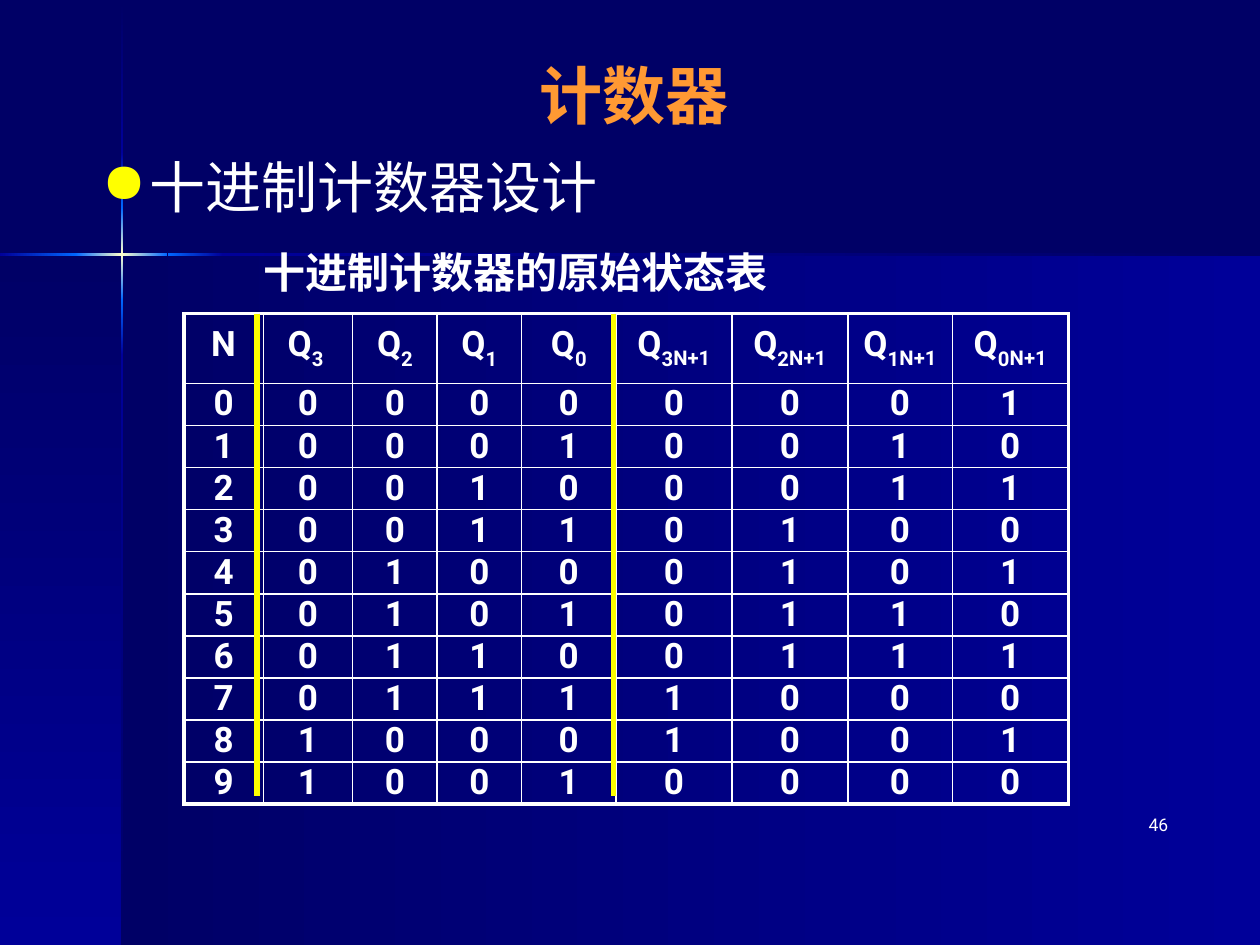
from lxml.etree import SubElement
from pptx import Presentation
from pptx.dml.color import RGBColor
from pptx.enum.shapes import MSO_CONNECTOR, MSO_SHAPE
from pptx.enum.text import MSO_ANCHOR, PP_ALIGN
from pptx.oxml.ns import qn
from pptx.util import Inches, Pt

NAVY = RGBColor(0x00, 0x00, 0x66)
ROYAL = RGBColor(0x00, 0x00, 0x99)
AZURE = RGBColor(0x00, 0x66, 0xFF)
CREAM = RGBColor(0xFF, 0xFF, 0xCC)
ORANGE = RGBColor(0xFF, 0x99, 0x33)
YELLOW = RGBColor(0xFF, 0xFF, 0x00)
WHITE = RGBColor(0xFF, 0xFF, 0xFF)

TITLE = {"size": Pt(36), "name": "Roboto", "bold": True, "color": ORANGE}
TOPIC = {"size": Pt(32), "name": "Roboto", "bold": False, "color": WHITE}
CAPTION = {"size": Pt(24), "name": "Cambria", "bold": True, "color": WHITE}
CELL = {"size": Pt(20), "name": "Roboto", "bold": True, "color": WHITE}
PAGE = {"size": Pt(10), "name": "Roboto", "bold": False, "color": WHITE}

ACROSS, DOWN = 0, 90
RAY_WIDTH = 0.02
VERTICAL_RAYS = [
    (0.01, 1.21, (NAVY, ROYAL)),
    (2.82, 7.5, (ROYAL, NAVY)),
    (2.38, 2.82, (AZURE, ROYAL)),
    (1.21, 1.65, (ROYAL, AZURE)),
    (1.65, 2.38, (AZURE, CREAM, AZURE)),
]
HORIZONTAL_RAYS = [
    (1.77, 10, (ROYAL, NAVY)),
    (0, 0.61, (ROYAL, AZURE)),
    (1.33, 1.77, (AZURE, ROYAL)),
    (0.6, 1.33, (AZURE, CREAM, AZURE)),
]

TABLE_TOP, TABLE_HEIGHT, HEADER_HEIGHT = 2.49, 3.83, 0.55
COLUMN_WIDTHS = [0.63, 0.71, 0.67, 0.67, 0.75, 0.92, 0.92, 0.83, 0.92]
STATE_COUNT = 10
SUBSCRIPT, NEXT_SUBSCRIPT = -30, -25
HEADER = (
    [[("N", 0)]]
    + [[("Q", 0), ("3 " if bit == 3 else str(bit), SUBSCRIPT)] for bit in (3, 2, 1, 0)]
    + [[("Q", 0), (str(bit), SUBSCRIPT), ("N+1", NEXT_SUBSCRIPT)] for bit in (3, 2, 1, 0)]
)


class SlideBuilder:
    def __init__(self, presentation):
        self.slide = presentation.slides.add_slide(presentation.slide_layouts[5])
        self.slide.background.fill.solid()
        self.slide.background.fill.fore_color.rgb = NAVY

    def style(self, font, values):
        for key, value in values.items():
            if key == "color":
                font.color.rgb = value
            else:
                setattr(font, key, value)

    def add_runs(self, paragraph, runs, values, alignment):
        paragraph.alignment = alignment
        for text, baseline in runs:
            run = paragraph.add_run()
            run.text = text
            self.style(run.font, values)
            if baseline:
                run._r.get_or_add_rPr().set("baseline", str(baseline * 1000))

    def gradient(self, left, top, width, height, colors, angle):
        shape = self.slide.shapes.add_shape(
            MSO_SHAPE.RECTANGLE, Inches(left), Inches(top), Inches(width), Inches(height)
        )
        shape.shadow.inherit = False
        shape.line.fill.background()
        shape.fill.gradient()
        fill = shape._element.spPr.find(qn("a:gradFill"))
        for child in list(fill):
            fill.remove(child)
        stops = SubElement(fill, qn("a:gsLst"))
        for index, color in enumerate(colors):
            position = 100000 * index // (len(colors) - 1)
            stop = SubElement(stops, qn("a:gs"), pos=str(position))
            SubElement(stop, qn("a:srgbClr"), val=str(color))
        SubElement(fill, qn("a:lin"), ang=str(angle * 60000), scaled="0")

    def title(self, left, top, width, height, text):
        shape = self.slide.shapes.title
        self.slide.shapes._spTree.append(shape._element)
        box = {"left": left, "top": top, "width": width, "height": height}
        for key, value in box.items():
            setattr(shape, key, Inches(value))
        shape.text_frame.vertical_anchor = MSO_ANCHOR.MIDDLE
        self.add_runs(shape.text_frame.paragraphs[0], [(text, 0)], TITLE, PP_ALIGN.CENTER)

    def text(self, left, top, width, height, text, values, alignment, bullet=False):
        shape = self.slide.shapes.add_textbox(
            Inches(left), Inches(top), Inches(width), Inches(height)
        )
        shape.text_frame.word_wrap = True
        paragraph = shape.text_frame.paragraphs[0]
        if bullet:
            properties = paragraph._p.get_or_add_pPr()
            properties.set("marL", str(Inches(0.38)))
            properties.set("indent", str(-Inches(0.38)))
            color = SubElement(properties, qn("a:buClr"))
            SubElement(color, qn("a:srgbClr"), val=str(YELLOW))
            SubElement(properties, qn("a:buChar"), char="●")
        self.add_runs(paragraph, [(text, 0)], values, alignment)

    def border(self, cell, side, width):
        properties = cell._tc.get_or_add_tcPr()
        line = SubElement(properties, qn(f"a:ln{side}"), w=str(Pt(width)))
        fill = SubElement(line, qn("a:solidFill"))
        SubElement(fill, qn("a:srgbClr"), val=str(WHITE))

    def table(self, left, top, rows):
        row_count, column_count = len(rows), len(COLUMN_WIDTHS)
        table = self.slide.shapes.add_table(
            row_count, column_count, Inches(left), Inches(top),
            Inches(sum(COLUMN_WIDTHS)), Inches(TABLE_HEIGHT),
        ).table
        table.first_row = table.horz_banding = False
        for column, width in zip(table.columns, COLUMN_WIDTHS):
            column.width = Inches(width)
        row_height = (TABLE_HEIGHT - HEADER_HEIGHT) / STATE_COUNT
        for row_index, row in enumerate(rows):
            is_header = row_index == 0
            table.rows[row_index].height = Inches(HEADER_HEIGHT if is_header else row_height)
            for column_index, runs in enumerate(row):
                cell = table.cell(row_index, column_index)
                cell.margin_left = cell.margin_right = 0
                cell.margin_top = cell.margin_bottom = Inches(0.08 if is_header else 0)
                outer_sides = {
                    "L": column_index == 0,
                    "R": column_index == column_count - 1,
                    "T": is_header,
                    "B": row_index == row_count - 1,
                }
                for side, is_outer in outer_sides.items():
                    self.border(cell, side, 2.25 if is_outer else 1)
                cell.fill.background()
                self.add_runs(cell.text_frame.paragraphs[0], runs, CELL, PP_ALIGN.CENTER)

    def divider(self, x, top, bottom):
        connector = self.slide.shapes.add_connector(
            MSO_CONNECTOR.STRAIGHT, Inches(x), Inches(top), Inches(x), Inches(bottom)
        )
        connector.line.color.rgb = YELLOW
        connector.line.width = Pt(3)
        SubElement(connector._element.spPr, qn("a:effectLst"))


def main():
    presentation = Presentation()
    presentation.slide_width, presentation.slide_height = Inches(10), Inches(7.5)
    builder = SlideBuilder(presentation)

    builder.gradient(0.97, 2.02, 9.03, 5.48, (NAVY, ROYAL), ACROSS)
    builder.gradient(0, 2.02, 0.97, 5.48, (NAVY, ROYAL), DOWN)
    for start, end, colors in VERTICAL_RAYS:
        builder.gradient(0.96, start, RAY_WIDTH, end - start, colors, DOWN)
    for start, end, colors in HORIZONTAL_RAYS:
        builder.gradient(start, 2.01, end - start, RAY_WIDTH, colors, ACROSS)

    builder.title(0.5, 0.33, 9.17, 0.83, "计数器 ")
    builder.text(0.71, 1.16, 8.67, 4.63, "十进制计数器设计", TOPIC, PP_ALIGN.LEFT, bullet=True)
    builder.text(7.29, 6.41, 2.08, 0.5, "46", PAGE, PP_ALIGN.RIGHT)

    rows = [HEADER]
    for state in range(STATE_COUNT):
        digits = f"{state}{state:04b}{(state + 1) % STATE_COUNT:04b}"
        rows.append([[(digit, 0)] for digit in digits])
    builder.table(1.46, TABLE_TOP, rows)
    for x in (2.04, 4.87):
        builder.divider(x, TABLE_TOP, TABLE_TOP + TABLE_HEIGHT)
    builder.text(1.71, 1.91, 4.76, 0.5, "十进制计数器的原始状态表", CAPTION, PP_ALIGN.CENTER)

    presentation.save("out.pptx")


if __name__ == "__main__":
    main()
